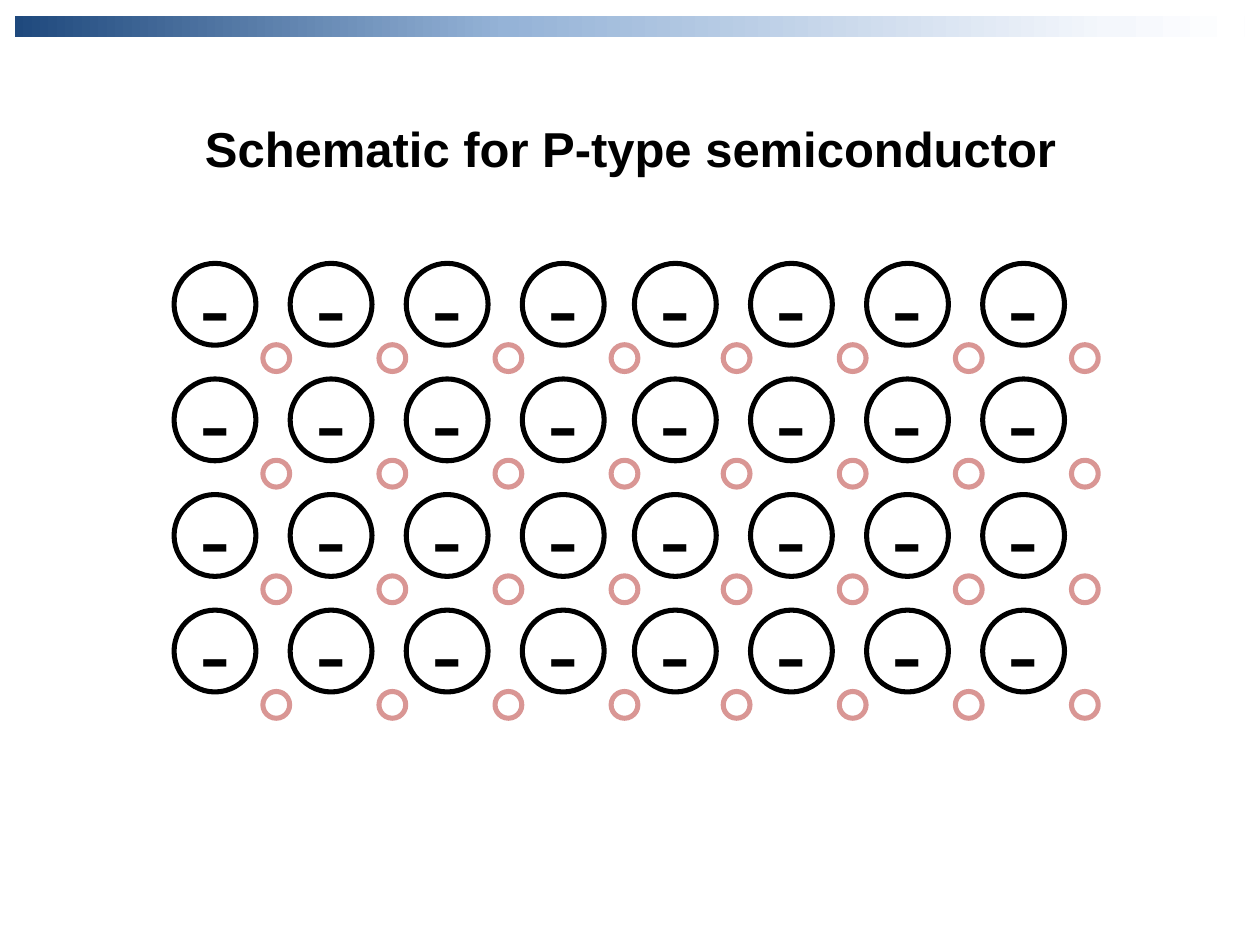
import pptx
import pptx.dml.color
import pptx.enum.shapes
import pptx.enum.text
import pptx.oxml
import pptx.oxml.ns
import pptx.util
from pptx.util import Cm

COLORS = {"black": "000000", "white": "FFFFFF", "hole": "D99694"}
BAR_STOPS = [(0, "1F497D"), (40, "95B3D7"), (89, "F4F7FC"), (100, "FFFFFF")]

# Lattice measures in centimetres
HALF_LEFTS = (3.51, 12.79)
TOP = 5.31
COLUMNS, ROWS = 4, 4
COLUMN_STEP, ROW_STEP = 2.34, 2.33
ION_SIZE, HOLE_SIZE = 1.65, 0.54
HOLE_RIGHT, HOLE_DOWN = 1.79, 1.64


def rgb(name):
    return pptx.dml.color.RGBColor.from_string(COLORS[name])


def write_text(frame, text, size, bold=False, color="black", wrap=True):
    frame.word_wrap = wrap
    frame.vertical_anchor = pptx.enum.text.MSO_ANCHOR.MIDDLE
    para = frame.paragraphs[0]
    para.alignment = pptx.enum.text.PP_ALIGN.CENTER
    span = para.add_run()
    span.text = text
    span.font.name = "Arial"
    span.font.size = pptx.util.Pt(size)
    span.font.bold = bold
    span.font.color.rgb = rgb(color)


def add_circle(group, left, top, size, line, fill=None):
    circle = group.shapes.add_shape(
        pptx.enum.shapes.MSO_SHAPE.OVAL, Cm(left), Cm(top), Cm(size), Cm(size))
    circle.shadow.inherit = False
    if fill:
        circle.fill.solid()
        circle.fill.fore_color.rgb = rgb(fill)
    else:
        circle.fill.background()
    circle.line.color.rgb = rgb(line)
    circle.line.width = pptx.util.Pt(2.88)
    return circle


def add_acceptor(group, left, top):
    """A fixed negative ion with its mobile hole at the lower right."""
    ion = add_circle(group, left, top, ION_SIZE, "black")
    write_text(ion.text_frame, "-", 54, wrap=False)
    add_circle(group, left + HOLE_RIGHT, top + HOLE_DOWN, HOLE_SIZE,
               "hole", fill="white")


def add_lattice_half(page, left):
    group = page.shapes.add_group_shape()
    for row in range(ROWS):
        for column in range(COLUMNS):
            add_acceptor(group, left + column * COLUMN_STEP,
                         TOP + row * ROW_STEP)


def add_gradient_bar(page):
    bar = page.shapes.add_shape(
        pptx.enum.shapes.MSO_SHAPE.RECTANGLE,
        Cm(0.3), Cm(0.33), Cm(24.79), Cm(0.41))
    bar.shadow.inherit = False
    bar.line.fill.background()
    bar.fill.gradient()
    bar.fill.gradient_angle = 0
    # The public interface offers two stops only, so the list is rebuilt
    stops = bar.fill._fill._gradFill.find(pptx.oxml.ns.qn("a:gsLst"))
    stops.clear()
    for percent, color in BAR_STOPS:
        stops.append(pptx.oxml.parse_xml(
            f'<a:gs {pptx.oxml.ns.nsdecls("a")} pos="{percent * 1000}">'
            f'<a:srgbClr val="{color}"/></a:gs>'))


def set_title(page, text):
    title = page.shapes.title
    title.left, title.top = Cm(0.91), Cm(2.26)
    title.width, title.height = Cm(23.6), Cm(1.45)
    write_text(title.text_frame, text, 28, bold=True)


def main():
    deck = pptx.Presentation()
    deck.slide_width, deck.slide_height = Cm(25.4), Cm(19.05)
    page = deck.slides.add_slide(deck.slide_layouts[5])

    # Header
    add_gradient_bar(page)
    set_title(page, "Schematic for P-type semiconductor")

    # Two halves of the crystal lattice
    for left in HALF_LEFTS:
        add_lattice_half(page, left)

    deck.save("out.pptx")


if __name__ == "__main__":
    main()
